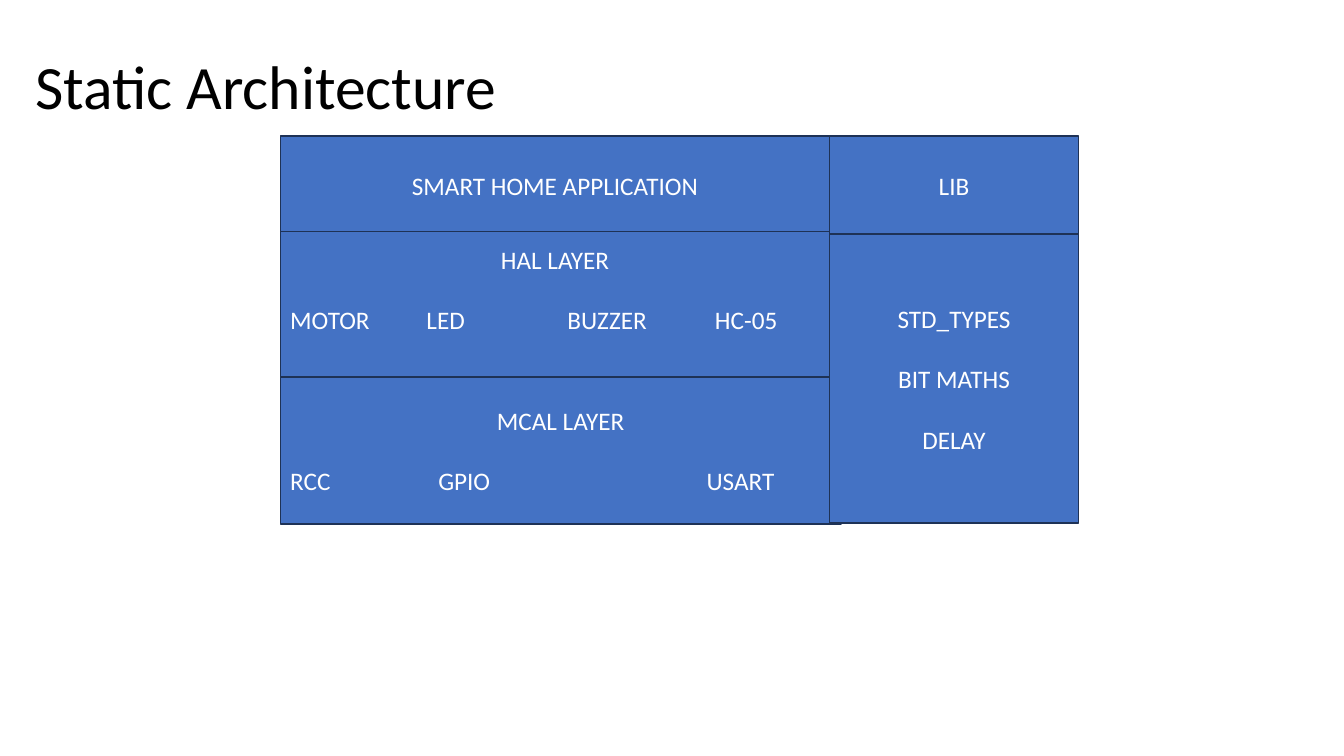
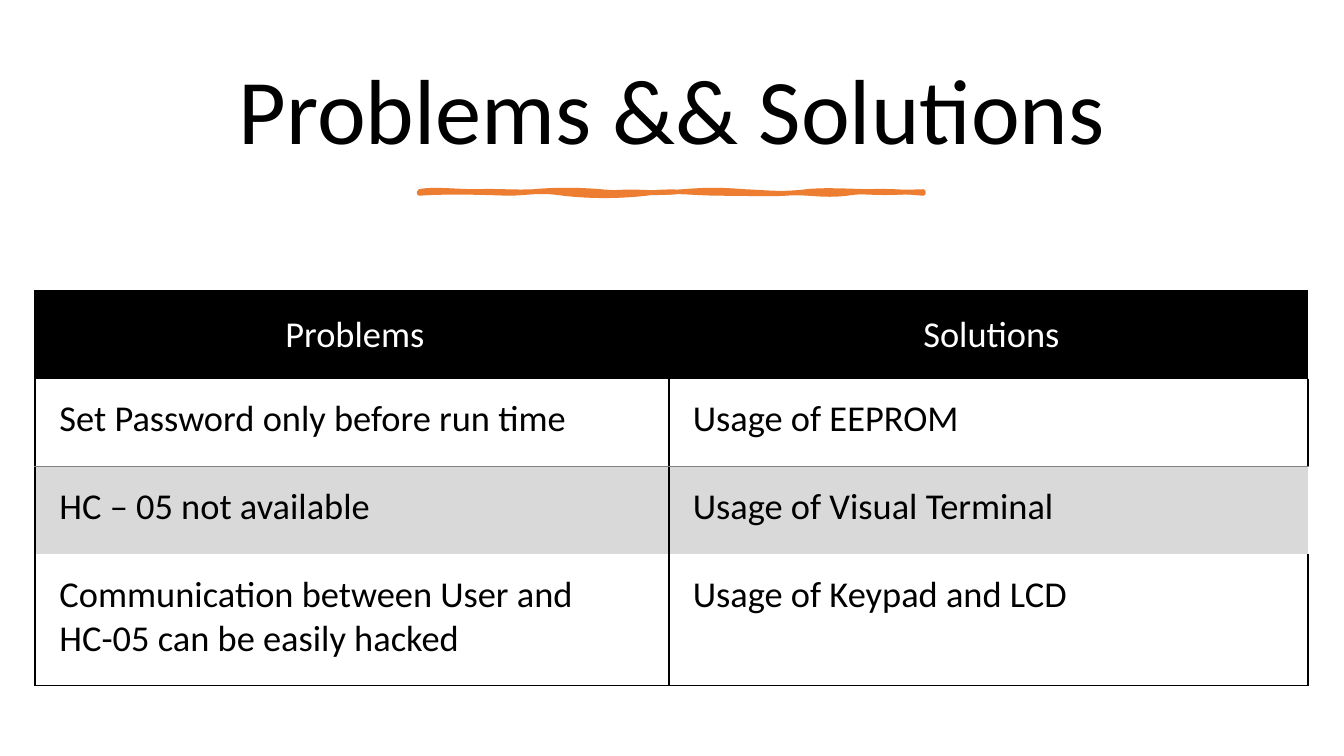
from dataclasses import dataclass

from lxml import etree
from pptx import Presentation
from pptx.dml.color import RGBColor
from pptx.enum.shapes import MSO_SHAPE
from pptx.enum.text import MSO_ANCHOR, MSO_AUTO_SIZE, PP_ALIGN
from pptx.oxml.ns import qn
from pptx.slide import Slide
from pptx.table import _Cell
from pptx.text.text import _Paragraph
from pptx.util import Pt

RECTANGLE = MSO_SHAPE.RECTANGLE
MIDDLE, TOP = MSO_ANCHOR.MIDDLE, MSO_ANCHOR.TOP
LEFT, CENTER = PP_ALIGN.LEFT, PP_ALIGN.CENTER
NO_AUTOFIT = MSO_AUTO_SIZE.NONE

FONT = "Calibri"
BLACK, WHITE, GRAY, BAND = "000000", "FFFFFF", "808080", "D9D9D9"
BLUE, NAVY, ORANGE = "4472C4", "1E3256", "ED7D31"
TITLE_ONLY = 5
BLANK_LINE = 21.5


@dataclass(frozen=True)
class Area:
    """A rectangle on the page, in points."""

    left: float
    top: float
    width: float
    height: float

    def lengths(self) -> tuple[Pt, Pt, Pt, Pt]:
        """Return left, top, width and height as lengths."""
        return Pt(self.left), Pt(self.top), Pt(self.width), Pt(self.height)


@dataclass(frozen=True)
class Block:
    """One block of the architecture diagram."""

    area: Area
    lines: tuple[str, ...]
    tabs: tuple[float, ...] = ()
    space_below: float = 0


@dataclass(frozen=True)
class Edge:
    """A cell border."""

    color: str
    width: float


@dataclass(frozen=True)
class Contour:
    """A closed chain of cubic curves, each with two handles and an end."""

    switch: tuple[str, str]
    curves: tuple[tuple[tuple[float, float], ...], ...]


BLOCKS = (
    Block(Area(200.2, 97.2, 392.4, 70), ("SMART HOME APPLICATION",)),
    Block(Area(200.2, 165.6, 392.4, 103.7),
          ("HAL LAYER", "MOTOR\tLED\tBUZZER\tHC-05"), (97.3, 198, 303.4), BLANK_LINE),
    Block(Area(200.2, 269.2, 400.6, 105.1),
          ("MCAL LAYER", "RCC\tGPIO\tUSART"), (105.8, 297.4)),
    Block(Area(592.6, 97.2, 177.8, 70), ("LIB",)),
    Block(Area(592.6, 167.2, 177.8, 206.5), ("STD_TYPES", "BIT MATHS", "DELAY")),
)

STROKE_START = (299.5, 136.8)
STROKE_CONTOURS = (
    Contour(("fill", "none"), (
        ((308.2, 134.6), (326.9, 136.8), (340.6, 136.8)),
        ((354.2, 136.1), (366.5, 137.5), (380.9, 136.8)),
        ((395.3, 135.4), (413.3, 135.4), (429.1, 136.8)),
        ((444.2, 138.2), (470.2, 138.2), (487.4, 136.8)),
        ((505.4, 135.4), (514.1, 135.4), (532.1, 136.8)),
        ((549.4, 137.5), (557.3, 139), (576, 136.8)),
        ((594.7, 134.6), (624.2, 138.2), (659.5, 136.8)),
        ((660.2, 137.5), (659.5, 137.5), (659.5, 138.2)),
        ((644.4, 136.8), (622.8, 135.4), (604.8, 138.2)),
        ((586.8, 140.4), (576.7, 136.8), (560.9, 138.2)),
        ((544.3, 139), (537.8, 138.2), (516.2, 138.2)),
        ((494.6, 138.2), (480.2, 135.4), (461.5, 138.2)),
        ((442.1, 140.4), (421.2, 140.4), (402.5, 138.2)),
        ((384.5, 135.4), (376.6, 138.2), (362.2, 138.2)),
        ((347.8, 137.5), (315.4, 136.8), (299.5, 138.2)),
        ((299.5, 137.5), (299.5, 136.8), STROKE_START))),
    Contour(("stroke", "0"), (
        ((311, 136.1), (325.4, 135.4), (344.2, 136.8)),
        ((362.2, 137.5), (365.8, 138.2), (384.5, 136.8)),
        ((403.2, 135.4), (413.3, 138.2), (429.1, 136.8)),
        ((445, 134.6), (460.1, 135.4), (480.2, 136.8)),
        ((500.4, 137.5), (521.3, 134.6), (535.7, 136.8)),
        ((549.4, 138.2), (577.4, 135.4), (594, 136.8)),
        ((610.6, 137.5), (627.8, 139), (659.5, 136.8)),
        ((659.5, 136.8), (659.5, 137.5), (659.5, 138.2)),
        ((632.9, 139.7), (630.7, 139.7), (604.8, 138.2)),
        ((578.9, 136.1), (573.1, 137.5), (546.5, 138.2)),
        ((519.1, 138.2), (515.5, 135.4), (487.4, 138.2)),
        ((460.1, 141.1), (458.6, 136.8), (447.1, 138.2)),
        ((434.9, 139), (411.8, 139), (391.7, 138.2)),
        ((372.2, 136.8), (362.9, 137.5), (344.2, 138.2)),
        ((325.4, 138.2), (317.5, 136.1), (299.5, 138.2)),
        ((299.5, 137.5), (299.5, 136.8), STROKE_START))),
)

TABLE_AREA = Area(25.2, 207.8, 909.4, 281.9)
COLUMN_WIDTHS = (452.4, 457)
ROW_HEIGHTS = (62.7, 62.7, 62.7, 93.8)
ROWS = (
    ("Problems", "Solutions"),
    ("Set Password only before run time", "Usage of EEPROM"),
    ("HC – 05 not available", "Usage of Visual Terminal"),
    ("Communication between User and HC-05 can be easily hacked",
     "Usage of Keypad and LCD"),
)
ROW_FILLS = (BLACK, WHITE, BAND, WHITE)
OUTLINE, HAIRLINE = Edge(BLACK, 1.5), Edge(GRAY, 0.5)


def rgb(color: str) -> RGBColor:
    """Turn a hex string into a colour."""
    return RGBColor.from_string(color)


def format_paragraph(para: _Paragraph, size: float, color: str, align: PP_ALIGN) -> None:
    """Set the font and alignment of a paragraph."""
    para.alignment = align
    para.font.name = FONT
    para.font.size = Pt(size)
    para.font.color.rgb = rgb(color)


def paint(shape, fill: str, line: str, width: float) -> None:
    """Give a shape a flat fill and outline."""
    shape.shadow.inherit = False
    shape.fill.solid()
    shape.fill.fore_color.rgb = rgb(fill)
    shape.line.color.rgb = rgb(line)
    shape.line.width = Pt(width)


def set_title(page: Slide, text: str, area: Area, size: float, align: PP_ALIGN) -> None:
    """Fill, place and format the title placeholder."""
    title = page.shapes.title
    title.left, title.top, title.width, title.height = area.lengths()
    frame = title.text_frame
    frame.text = text
    frame.word_wrap = True
    frame.auto_size = NO_AUTOFIT
    frame.vertical_anchor = MIDDLE
    para = frame.paragraphs[0]
    para.line_spacing = 0.9
    format_paragraph(para, size, BLACK, align)


def set_tabs(para: _Paragraph, positions: tuple[float, ...]) -> None:
    """Add left tab stops to a paragraph."""
    tab_list = etree.Element(qn("a:tabLst"))
    for position in positions:
        etree.SubElement(tab_list, qn("a:tab"), pos=str(Pt(position)), algn="l")
    para._p.get_or_add_pPr().find(qn("a:defRPr")).addprevious(tab_list)


def draw_block(page: Slide, block: Block) -> None:
    """Draw a diagram block with its spaced lines of text."""
    box = page.shapes.add_shape(RECTANGLE, *block.area.lengths())
    paint(box, BLUE, NAVY, 1)
    frame = box.text_frame
    frame.word_wrap = True
    frame.vertical_anchor = MIDDLE
    frame.margin_bottom = Pt(3.6 + block.space_below)
    frame.text = "\n".join(block.lines)
    for index, para in enumerate(frame.paragraphs):
        tabbed = "\t" in block.lines[index]
        format_paragraph(para, 18, WHITE, LEFT if tabbed else CENTER)
        if index:
            para.space_before = Pt(BLANK_LINE)
        if tabbed:
            set_tabs(para, block.tabs)


def add_command(outline, name: str, points: tuple[tuple[float, float], ...]) -> None:
    """Add a drawing command with points relative to the stroke start."""
    command = etree.SubElement(outline, qn(name))
    for point in points:
        x, y = (str(Pt(value) - Pt(base)) for value, base in zip(point, STROKE_START))
        etree.SubElement(command, qn("a:pt"), x=x, y=y)


def draw_stroke(page: Slide) -> None:
    """Draw the curved brush stroke below the title."""
    builder = page.shapes.build_freeform(*map(Pt, STROKE_START))
    ends = [curve[-1] for curve in STROKE_CONTOURS[0].curves]
    builder.add_line_segments([(Pt(x), Pt(y)) for x, y in ends])
    stroke = builder.convert_to_shape()
    paint(stroke, ORANGE, ORANGE, 3.25)
    outlines = next(stroke._element.iter(qn("a:pathLst")))
    outlines.remove(outlines[0])
    for contour in STROKE_CONTOURS:
        outline = etree.SubElement(outlines, qn("a:path"),
                                   w=str(stroke.width), h=str(stroke.height))
        outline.set(*contour.switch)
        add_command(outline, "a:moveTo", (STROKE_START,))
        for curve in contour.curves:
            add_command(outline, "a:cubicBezTo", curve)
        add_command(outline, "a:close", ())


def set_edges(cell: _Cell, edges: dict[str, Edge | None]) -> None:
    """Set the left, right, top and bottom borders of a cell."""
    properties = cell._tc.get_or_add_tcPr()
    for index, (side, edge) in enumerate(edges.items()):
        line = etree.Element(qn(f"a:ln{side}"))
        if edge is None:
            etree.SubElement(line, qn("a:noFill"))
        else:
            line.set("w", str(Pt(edge.width)))
            fill = etree.SubElement(line, qn("a:solidFill"))
            etree.SubElement(fill, qn("a:srgbClr"), val=edge.color)
        properties.insert(index, line)


def cell_edges(row: int, column: int) -> dict[str, Edge | None]:
    """Work out the borders of the cell at a row and column."""
    header, banded = row == 0, row == 2
    last_row, last_column = row == len(ROWS) - 1, column == len(COLUMN_WIDTHS) - 1
    return {
        "L": None if header and column else OUTLINE,
        "R": None if header or (banded and last_column) else OUTLINE,
        "T": OUTLINE if header else HAIRLINE if banded else None,
        "B": OUTLINE if last_row else HAIRLINE if row == 1 else None,
    }


def draw_table(page: Slide) -> None:
    """Draw the table of problems and solutions."""
    table = page.shapes.add_table(
        len(ROWS), len(COLUMN_WIDTHS), *TABLE_AREA.lengths()).table
    table.first_row = table.horz_banding = False
    for column, width in zip(table.columns, COLUMN_WIDTHS):
        column.width = Pt(width)
    for row, height in zip(table.rows, ROW_HEIGHTS):
        row.height = Pt(height)
    for row_index, texts in enumerate(ROWS):
        header = row_index == 0
        for column_index, text in enumerate(texts):
            cell = table.cell(row_index, column_index)
            cell.text = text
            cell.fill.solid()
            cell.fill.fore_color.rgb = rgb(ROW_FILLS[row_index])
            cell.vertical_anchor = MIDDLE if header else TOP
            cell.margin_left = Pt(17.3)
            cell.margin_right = cell.margin_top = cell.margin_bottom = Pt(13)
            format_paragraph(cell.text_frame.paragraphs[0], 26,
                             WHITE if header else BLACK, CENTER if header else LEFT)
            set_edges(cell, cell_edges(row_index, column_index))


def main() -> None:
    """Build and save the deck."""
    deck = Presentation()
    deck.slide_width, deck.slide_height = Pt(960), Pt(540)
    layout = deck.slide_layouts[TITLE_ONLY]

    architecture = deck.slides.add_slide(layout)
    set_title(architecture, "Static Architecture", Area(18, 11.5, 828, 104.4), 44, LEFT)
    for block in BLOCKS:
        draw_block(architecture, block)

    problems = deck.slides.add_slide(layout)
    set_title(problems, "Problems && Solutions", Area(50.4, 32.8, 859, 98.6), 66, CENTER)
    draw_stroke(problems)
    draw_table(problems)

    deck.save("out.pptx")


if __name__ == "__main__":
    main()
